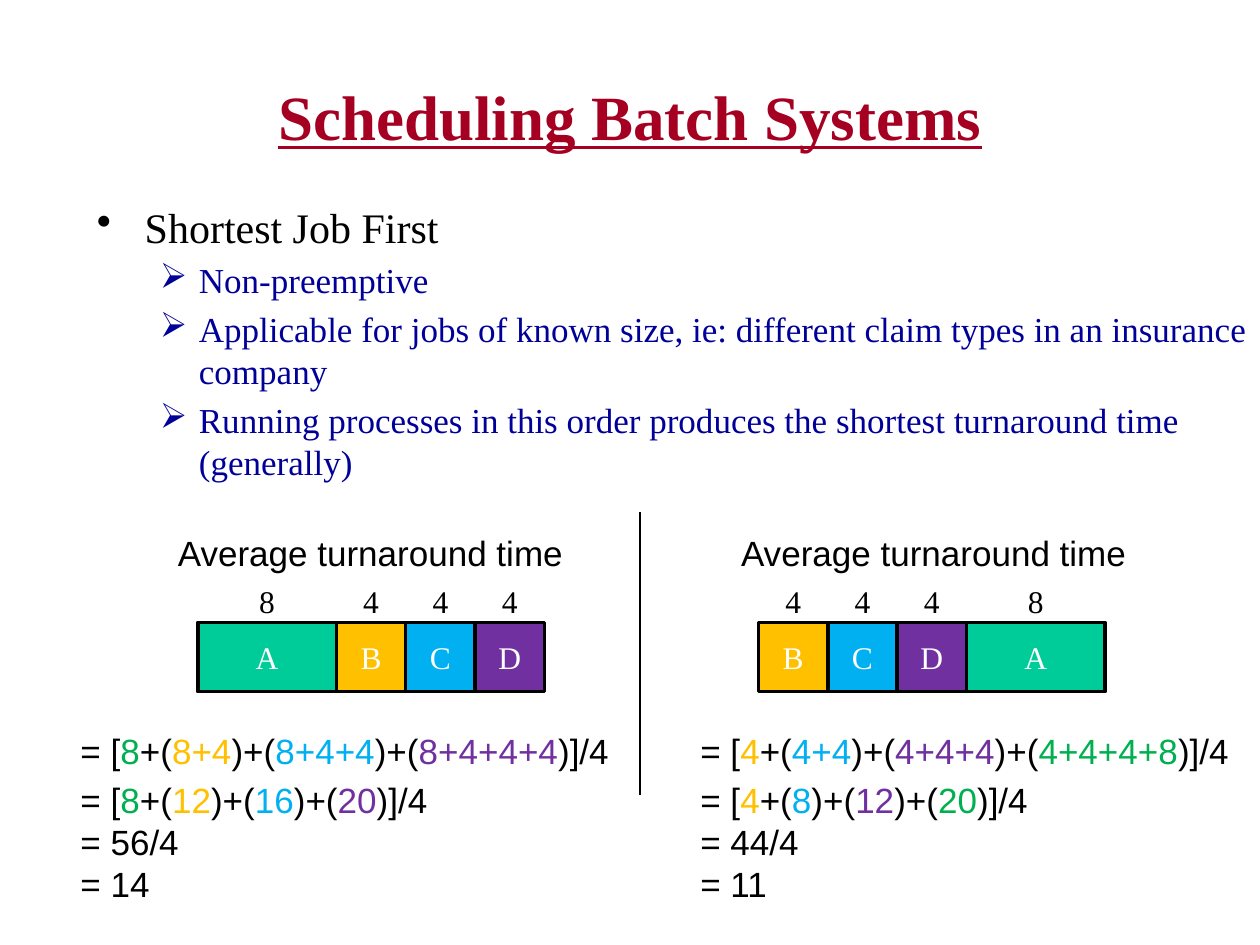
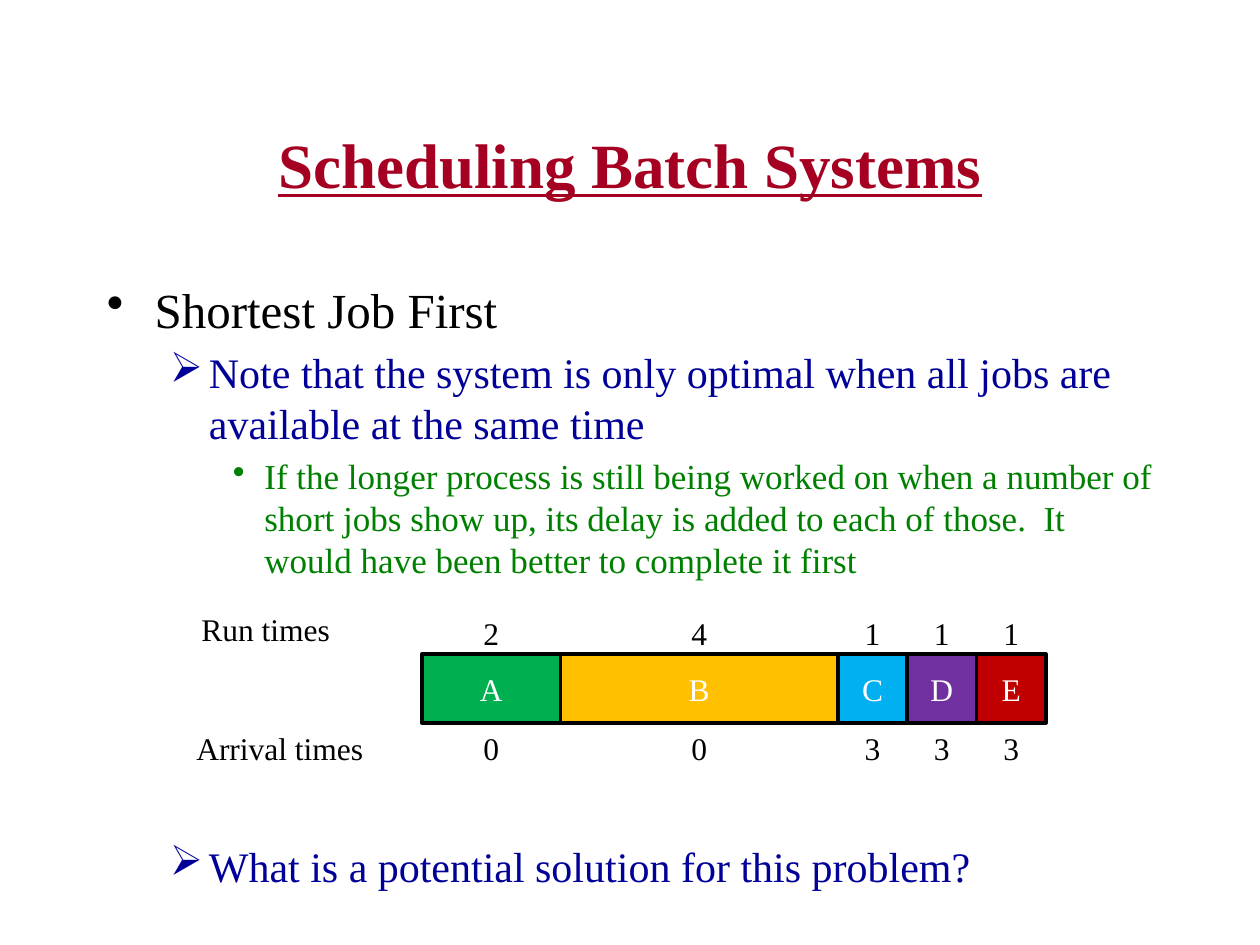
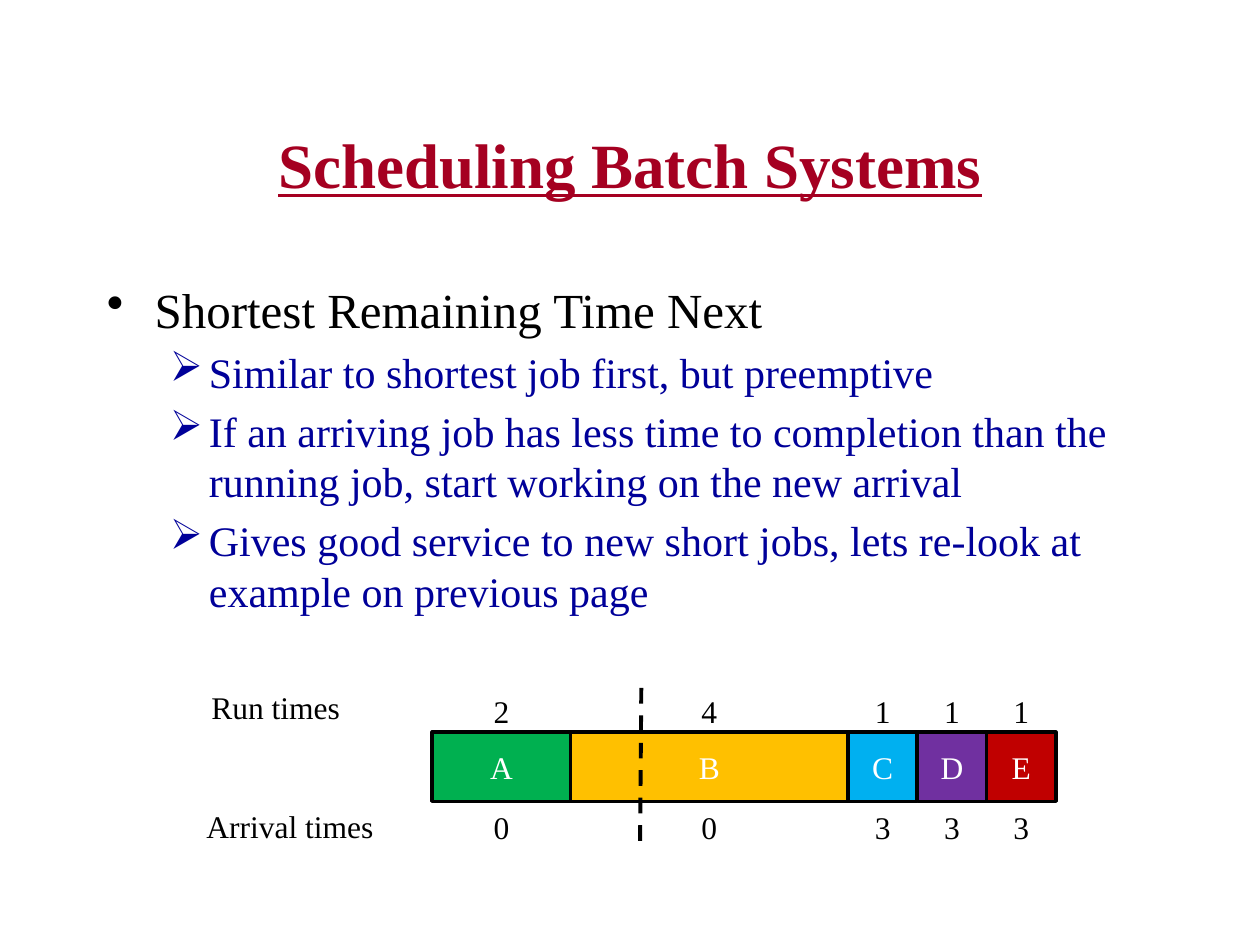
import itertools

import lxml.etree
import pptx
import pptx.dml.color
import pptx.enum.dml
import pptx.enum.shapes
import pptx.enum.text
import pptx.oxml.ns
import pptx.util
from pptx.util import Inches

RGBColor = pptx.dml.color.RGBColor
ALIGN = pptx.enum.text.PP_ALIGN
ANCHOR = pptx.enum.text.MSO_ANCHOR

BLACK = RGBColor(0x00, 0x00, 0x00)
WHITE = RGBColor(0xFF, 0xFF, 0xFF)
CRIMSON = RGBColor(0xA5, 0x00, 0x21)
NAVY = RGBColor(0x00, 0x00, 0x99)
DARK_GREEN = RGBColor(0x00, 0x80, 0x00)
TEAL = RGBColor(0x00, 0xCC, 0x99)
GREEN = RGBColor(0x00, 0xB0, 0x50)
AMBER = RGBColor(0xFF, 0xC0, 0x00)
SKY = RGBColor(0x00, 0xB0, 0xF0)
PURPLE = RGBColor(0x70, 0x30, 0xA0)
RED = RGBColor(0xC0, 0x00, 0x00)

SERIF = "Times New Roman"
SANS = "Arial"
TITLE = "Scheduling Batch Systems"
JOB_COLORS = {"A": GREEN, "B": AMBER, "C": SKY, "D": PURPLE, "E": RED}
CELL = 0.55
LABEL_RISE = 0.57

# Bullet, text indent, hanging indent and colour of each outline level
LEVELS = [("•", 0.38, 0.38, BLACK), ("➢", 0.81, 0.31, NAVY), ("•", 1.25, 0.25, DARK_GREEN)]


def add_text(shapes, box, lines, size=18, font=SERIF, align=ALIGN.LEFT, anchor=ANCHOR.TOP, fill=None):
    """Add a text box, or a rectangle if filled; each line is a list of (text, colour)."""
    box = [Inches(length) for length in box]
    if fill is None:
        shape = shapes.add_textbox(*box)
    else:
        shape = shapes.add_shape(pptx.enum.shapes.MSO_SHAPE.RECTANGLE, *box)
        shape.shadow.inherit = False
        shape.fill.solid()
        shape.fill.fore_color.rgb = fill
        shape.line.fill.background()
    frame = shape.text_frame
    frame.word_wrap = True
    frame.vertical_anchor = anchor
    for number, line in enumerate(lines):
        paragraph = frame.add_paragraph() if number else frame.paragraphs[0]
        paragraph.alignment = align
        paragraph.font.size = pptx.util.Pt(size)
        paragraph.font.name = font
        for text, color in line:
            run = paragraph.add_run()
            run.text = text
            run.font.color.rgb = color
    return shape


def add_outline(slide, box, items, top_size):
    """Add bulleted text from (level, text) items; each level is 4 points smaller."""
    lines = [[(text, LEVELS[level][3])] for level, text in items]
    shape = add_text(slide.shapes, box, lines)
    for (level, text), paragraph in zip(items, shape.text_frame.paragraphs):
        bullet, indent, hanging, color = LEVELS[level]
        size = top_size - 4 * level
        paragraph.level = level
        paragraph.font.size = pptx.util.Pt(size)
        paragraph.space_before = pptx.util.Pt(size * 0.2)
        properties = paragraph._p.get_or_add_pPr()
        properties.set("marL", str(Inches(indent)))
        properties.set("indent", str(-Inches(hanging)))
        mark = lxml.etree.SubElement(properties, pptx.oxml.ns.qn("a:buChar"))
        mark.set("char", bullet)


presentation = pptx.Presentation()
presentation.slide_width = Inches(10)
presentation.slide_height = Inches(7.5)

# Titles
slides = []
for title_top in (0.29, 0.67, 0.67):
    slide = presentation.slides.add_slide(presentation.slide_layouts[5])
    title = slide.shapes.title
    title.left, title.top = Inches(0.75), Inches(title_top)
    title.width, title.height = Inches(8.5), Inches(1.25)
    title.text_frame.text = TITLE
    title.text_frame.auto_size = pptx.enum.text.MSO_AUTO_SIZE.NONE
    title.text_frame.vertical_anchor = ANCHOR.MIDDLE
    paragraph = title.text_frame.paragraphs[0]
    paragraph.alignment = ALIGN.CENTER
    paragraph.font.name = SERIF
    paragraph.font.size = pptx.util.Pt(36)
    paragraph.font.bold = True
    paragraph.font.underline = True
    paragraph.font.color.rgb = CRIMSON
    slides.append(slide)
first_slide, arrival_slide, remaining_slide = slides

# Outlines
add_outline(first_slide, (0.67, 1.55, 9.58, 3.25), [
    (0, "Shortest Job First"),
    (1, "Non-preemptive"),
    (1, "Applicable for jobs of known size, ie: different claim types in an insurance company"),
    (1, "Running processes in this order produces the shortest turnaround time (generally)"),
], 24)
add_outline(arrival_slide, (0.75, 2.17, 8.5, 3.08), [
    (0, "Shortest Job First"),
    (1, "Note that the system is only optimal when all jobs are available at the same time"),
    (2, "If the longer process is still being worked on when a number of short jobs show up, "
        "its delay is added to each of those.  It would have been better to complete it first"),
], 28)
add_outline(arrival_slide, (0.75, 6.62, 8.34, 0.52),
            [(1, "What is a potential solution for this problem?")], 28)
add_outline(remaining_slide, (0.75, 2.17, 8.5, 4.5), [
    (0, "Shortest Remaining Time Next"),
    (1, "Similar to shortest job first, but preemptive"),
    (1, "If an arriving job has less time to completion than the running job, "
        "start working on the new arrival"),
    (1, "Gives good service to new short jobs, lets re-look at example on previous page"),
], 28)

# Timelines: slide, left, top, time units per cell, job colours, (job, run time, arrival time)
batch_colors = {**JOB_COLORS, "A": TEAL}
arrivals = [("A", 2, 0), ("B", 4, 0), ("C", 1, 3), ("D", 1, 3), ("E", 1, 3)]
long_first = [("A", 8, None), ("B", 4, None), ("C", 4, None), ("D", 4, None)]
short_first = long_first[1:] + long_first[:1]
timelines = [
    (first_slide, 1.57, 4.94, 4, batch_colors, long_first),
    (first_slide, 6.02, 4.94, 4, batch_colors, short_first),
    (arrival_slide, 3.35, 5.19, 1, JOB_COLORS, arrivals),
    (remaining_slide, 3.43, 5.81, 1, JOB_COLORS, arrivals),
]
for slide, left, top, units, colors, jobs in timelines:
    shapes = slide.shapes.add_group_shape().shapes
    widths = [run_time / units * CELL for job, run_time, arrival in jobs]
    lefts = [left + offset for offset in itertools.accumulate([0] + widths[:-1])]
    for (job, run_time, arrival), x, width in zip(jobs, lefts, widths):
        labels = [(run_time, top - LABEL_RISE, ANCHOR.BOTTOM)]
        if arrival is not None:
            labels.append((arrival, top + CELL, ANCHOR.TOP))
        for value, y, anchor in labels:
            label = add_text(shapes, (x, y, width, CELL), [[(str(value), BLACK)]],
                             align=ALIGN.CENTER, anchor=anchor, fill=WHITE)
            label.text_frame.margin_bottom = 0
    for (job, run_time, arrival), x, width in zip(jobs, lefts, widths):
        cell = add_text(shapes, (x, top, width, CELL), [[(job, WHITE)]],
                        align=ALIGN.CENTER, anchor=ANCHOR.MIDDLE, fill=colors[job])
        cell.line.color.rgb = BLACK
        cell.line.width = pptx.util.Pt(2)
    if jobs is arrivals:
        add_text(shapes, (left - 1.85, top - 0.4, 1.6, 0.4), [[("Run times", BLACK)]])
        add_text(shapes, (left - 1.89, top + CELL, 1.6, 0.4), [[("Arrival times", BLACK)]])

# Average turnaround calculations
for heading_left, formula_left, jobs in ((0.73, 0.54, long_first), (5.2, 5.46, short_first)):
    add_text(first_slide.shapes, (heading_left, 4.17, 4.42, 0.44),
             [[("Average turnaround time", BLACK)]], 20, SANS, ALIGN.CENTER)
    run_times = [run_time for job, run_time, arrival in jobs]
    sums = ["+".join(map(str, run_times[:count + 1])) for count in range(len(jobs))]
    finishes = list(itertools.accumulate(run_times))
    formulas = []
    for terms in (sums, finishes):
        formula = []
        for lead, term, job in zip(("= [", "+(", ")+(", ")+("), terms, jobs):
            formula += [(lead, BLACK), (str(term), JOB_COLORS[job[0]])]
        formulas.append(formula + [(")]/4", BLACK)])
    total = sum(finishes)
    results = [[(f"= {total}/4", BLACK)], [(f"= {total // 4}", BLACK)]]
    add_text(first_slide.shapes, (formula_left, 5.74, 4.5, 0.44), formulas[:1], 20, SANS)
    add_text(first_slide.shapes, (formula_left, 6.13, 4.5, 1.11), formulas[1:] + results, 20, SANS)

# Divider between the two orders, and the moment when the short jobs arrive
for slide, ends, width, dash in (
    (first_slide, (5.08, 6.31, 5.08, 4.06), 0.75, None),
    (remaining_slide, (5.09, 5.46, 5.08, 6.69), 2.25, pptx.enum.dml.MSO_LINE.DASH),
):
    line = slide.shapes.add_connector(pptx.enum.shapes.MSO_CONNECTOR.STRAIGHT,
                                      *[Inches(length) for length in ends])
    line.line.color.rgb = BLACK
    line.line.width = pptx.util.Pt(width)
    if dash:
        line.line.dash_style = dash
    lxml.etree.SubElement(line._element.spPr, pptx.oxml.ns.qn("a:effectLst"))

presentation.save("out.pptx")
